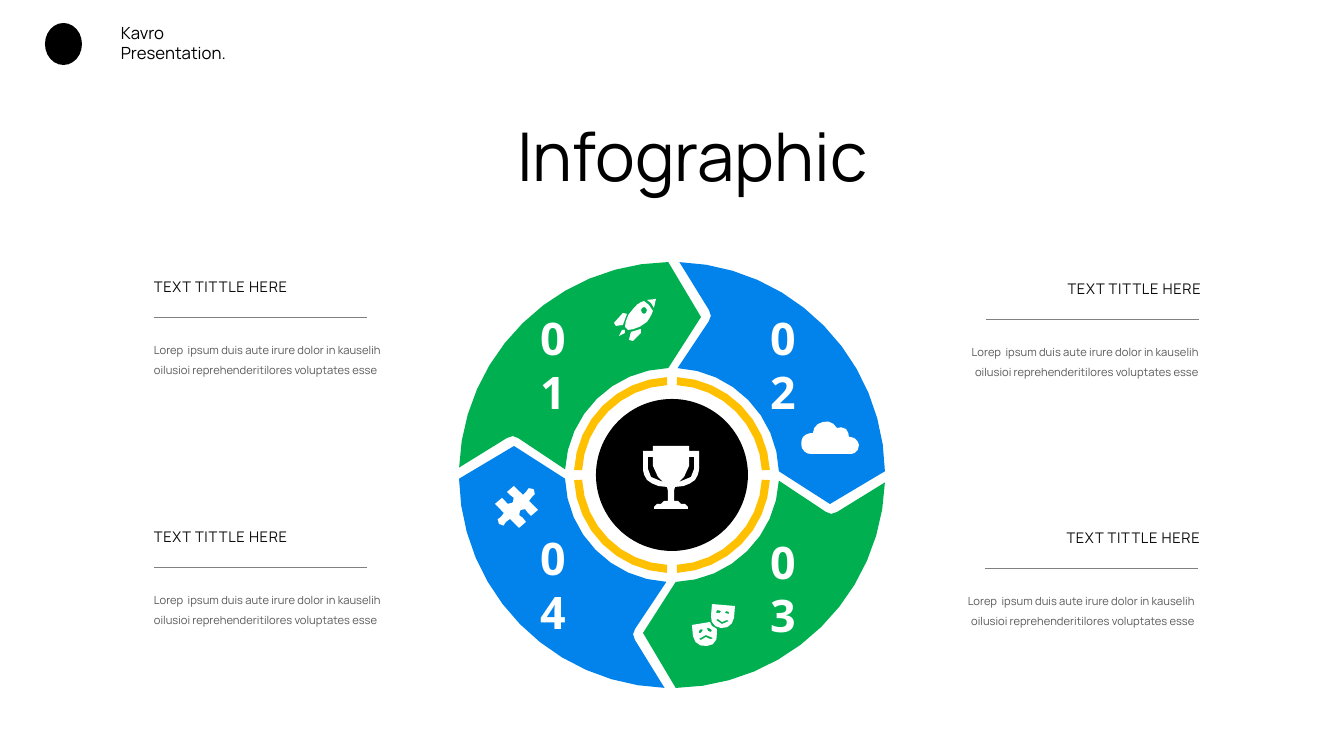
from math import ceil, cos, dist, radians, sin

from pptx import Presentation
from pptx.dml.color import RGBColor
from pptx.enum.shapes import MSO_CONNECTOR as CONNECTOR, MSO_SHAPE as SHAPE
from pptx.enum.text import MSO_ANCHOR as ANCHOR, MSO_AUTO_SIZE as AUTO_SIZE, PP_ALIGN as ALIGN
from pptx.oxml.ns import qn
from pptx.util import Emu, Pt

EMU_PER_PX = 914400 / 100.8
CENTER = (672, 475)
BLACK = RGBColor(0x00, 0x00, 0x00)
WHITE = RGBColor(0xFF, 0xFF, 0xFF)
INK = RGBColor(0x0D, 0x0D, 0x0D)
DARK_GREY = RGBColor(0x59, 0x59, 0x59)
RULE_GREY = RGBColor(0x80, 0x80, 0x80)
GREEN = RGBColor(0x00, 0xB0, 0x50)
BLUE = RGBColor(0x02, 0x83, 0xEB)
YELLOW = RGBColor(0xFF, 0xC0, 0x00)

BLURB = "Lorep  ipsum duis aute irure dolor in kauselih oilusioi reprehenderitilores voluptates esse"

# Contours in px: a pair is a straight step, six numbers are a cubic curve.
ROCKET = [
    [(656, 299), (647, 300), (651, 303), (654, 308)],
    [(627, 314), (623, 313), (614, 323), (616, 326), (623, 325)],
    [(641, 329), (631, 332), (629, 340), (633, 341), (641, 333)],
    [(644, 301), (641, 302, 637, 304, 634, 308), (627, 314, 625, 323, 625, 327),
     (628, 330), (632, 330, 640, 328, 647, 322), (650, 318, 652, 314, 653, 311), (649, 305)],
    [(647, 310), (646, 313), (644, 314), (642, 313), (641, 310), (642, 308), (644, 307), (646, 308)],
    [(625, 330), (622, 330), (619, 336), (625, 333)],
]
CLOUD = [
    [(849, 437), (849, 434, 848, 431, 846, 429), (843, 427, 840, 427, 837, 428),
     (834, 423, 829, 420, 823, 422), (817, 423, 813, 428, 813, 433),
     (809, 433, 806, 434, 803, 437), (801, 440, 801, 445, 802, 448),
     (804, 452, 807, 454, 811, 454), (851, 454), (855, 454, 859, 451, 859, 445),
     (859, 442, 855, 437, 851, 437)],
]
PUZZLE = [
    [(523, 518), (519, 518, 518, 513, 520, 511), (521, 510), (523, 508, 528, 509, 528, 513),
     (531, 516), (538, 510), (529, 501), (532, 497), (535, 497, 536, 492, 534, 490),
     (533, 489), (531, 487, 526, 488, 526, 492), (523, 495), (514, 486), (507, 492),
     (510, 495), (514, 495, 515, 500, 513, 502), (512, 503), (510, 505, 505, 504, 505, 501),
     (502, 498), (495, 504), (504, 513), (501, 517), (498, 517, 496, 521, 499, 524),
     (502, 527, 506, 526, 506, 522), (510, 519), (519, 528), (526, 522)],
]
SAD_MASK = [
    [(717, 629), (712, 626), (710, 622), (692, 625), (693, 636),
     (694, 643, 700, 647, 707, 646), (714, 646, 718, 640, 717, 633)],
    [(707, 628), (709, 628), (712, 630), (711, 632), (708, 631)],
    [(699, 631), (701, 629), (703, 630), (701, 633), (699, 633)],
    [(712, 639), (710, 639), (706, 637), (701, 640), (699, 639), (706, 635), (713, 638)],
]
HAPPY_MASK = [
    [(712, 604), (711, 616), (710, 622, 715, 628, 721, 628), (728, 629, 733, 624, 734, 618),
     (735, 606)],
    [(717, 610), (721, 611), (720, 613), (716, 613)],
    [(726, 611), (729, 612), (729, 614), (725, 613)],
    [(729, 621), (722, 624), (716, 620), (718, 619), (722, 622), (727, 620)],
]
CUP_RIGHT_HALF = [
    (689, 446), (689, 451), (699, 451), (699, 469), (699, 469, 699, 475, 695, 480),
    (690, 484, 685, 487, 675, 487), (674, 491), (674, 501), (678, 501), (681, 504),
    (685, 504), (688, 507), (688, 509)]
CUP_RIGHT_HANDLE = [
    (691, 477), (679, 482), (684, 477), (689, 466), (689, 457), (694, 457), (694, 469)]


def px(length):
    return Emu(round(length * EMU_PER_PX))


def flatten(contour):
    """Turn a contour with cubic curves into plain points, few on a short curve."""
    points = []
    for step in contour:
        if len(step) == 2:
            points.append(step)
            continue
        x0, y0 = points[-1]
        x1, y1, x2, y2, x3, y3 = step
        steps = min(3, ceil(dist((x0, y0), (x3, y3)) / 5))
        for i in range(1, steps + 1):
            t = i / steps
            a, b, c, d = (1 - t) ** 3, 3 * t * (1 - t) ** 2, 3 * t * t * (1 - t), t ** 3
            points.append((a * x0 + b * x1 + c * x2 + d * x3, a * y0 + b * y1 + c * y2 + d * y3))
    return points


def mirror(points, axis=671):
    return [(2 * axis - x, y) for x, y in reversed(points)]


def arc(radius, start, end, steps=8):
    """Points round the origin, in degrees clockwise from the right."""
    angles = [radians(start + (end - start) * i / steps) for i in range(steps + 1)]
    return [(radius * cos(angle), radius * sin(angle)) for angle in angles]


def quarter(points, turns):
    """Turn points about the origin by quarter turns and move them to the wheel."""
    for _ in range(turns):
        points = [(-y, x) for x, y in points]
    return [(CENTER[0] + x, CENTER[1] + y) for x, y in points]


def paint(shape, color):
    shape.shadow.inherit = False
    shape.fill.solid()
    shape.fill.fore_color.rgb = color
    shape.line.fill.background()


def add_outline(slide, contours, color):
    scaled = [[(px(x), px(y)) for x, y in contour] for contour in contours]
    builder = slide.shapes.build_freeform(*scaled[0][0], scale=1.0)
    for i, contour in enumerate(scaled):
        if i:
            builder.move_to(*contour[0])
        builder.add_line_segments(contour[1:], close=True)
    paint(builder.convert_to_shape(), color)


def add_icon(slide, contours):
    add_outline(slide, [flatten(contour) for contour in contours], WHITE)


def add_circle(slide, left, top, width, height, color):
    paint(slide.shapes.add_shape(SHAPE.OVAL, px(left), px(top), px(width), px(height)), color)


def write(box, text, size, color, font="Manrope", align=ALIGN.LEFT, anchor=ANCHOR.TOP,
          bold=False, line_spacing=None, tracking=None):
    frame = box.text_frame
    frame.text = text
    frame.word_wrap = True
    frame.auto_size = AUTO_SIZE.NONE
    frame.vertical_anchor = anchor
    for paragraph in frame.paragraphs:
        paragraph.alignment = align
        paragraph.line_spacing = line_spacing
        for run in paragraph.runs:
            run.font.name, run.font.size, run.font.bold = font, Pt(size), bold
            run.font.color.rgb = color
            if tracking:
                run.font._element.set("spc", str(tracking))


def add_text(slide, left, top, width, height, text, size, color, **style):
    box = slide.shapes.add_textbox(px(left), px(top), px(width), px(height))
    write(box, text, size, color, **style)


def add_rule(slide, left, top, width):
    rule = slide.shapes.add_connector(CONNECTOR.STRAIGHT, px(left), px(top), px(left + width), px(top))
    rule.line.color.rgb = RULE_GREY
    rule.line.width = Pt(0.5)
    properties = rule._element.spPr
    properties.append(properties.makeelement(qn("a:effectLst"), {}))


def add_entry(slide, left, top, heading_shift, blurb_shift, align):
    """Heading, rule and blurb, placed from the left end of the rule."""
    add_text(slide, left + heading_shift, top - 44, 160, 29, "TEXT TITTLE HERE", 10.5, INK,
             align=align, tracking=50)
    add_rule(slide, left, top, 213)
    add_text(slide, left + blurb_shift, top + 15, 260, 70, BLURB, 8, DARK_GREY,
             align=align, line_spacing=1.5)


def add_wheel(slide):
    notch = [(-165, -37), (-162, -38), (-159, -39), (-157, -38), (-154, -37)]
    segment = [(-3, -108), (29, -158), *arc(213, 269, 182, 12), *notch, *arc(107, 183, 268)]
    ring_part = arc(98, 183, 267) + arc(90, 267, 183)
    for turns, color in enumerate((GREEN, BLUE, GREEN, BLUE)):
        add_outline(slide, [quarter(segment, turns)], color)
        add_outline(slide, [quarter(ring_part, turns)], YELLOW)
    add_circle(slide, 596, 399, 152, 152, BLACK)
    for number, left, top in (("01", 524, 339), ("02", 754, 339), ("03", 754, 562), ("04", 524, 559)):
        add_text(slide, left, top, 58, 52, number, 32, WHITE, font="Open Sans",
                 align=ALIGN.CENTER, anchor=ANCHOR.MIDDLE, bold=True)
    for icon in (SAD_MASK, HAPPY_MASK, CLOUD, PUZZLE, ROCKET):
        add_icon(slide, icon)
    cup = flatten(CUP_RIGHT_HALF)
    add_outline(slide, [cup + mirror(cup), CUP_RIGHT_HANDLE, mirror(CUP_RIGHT_HANDLE)], WHITE)


def main():
    deck = Presentation()
    deck.slide_width, deck.slide_height = px(1344), px(756)
    slide = deck.slides.add_slide(deck.slide_layouts[5])
    title = slide.shapes.title
    title.left, title.top, title.width, title.height = px(473), px(109), px(439), px(92)
    write(title, "Infographic", 48, BLACK, align=ALIGN.CENTER)
    for left, top in ((154, 317), (154, 567)):
        add_entry(slide, left, top, -10, -10, ALIGN.LEFT)
    for left, top, blurb_shift in ((986, 319, -37), (985, 568, -40)):
        add_entry(slide, left, top, 65, blurb_shift, ALIGN.RIGHT)
    add_wheel(slide)
    add_text(slide, 111, 18, 132, 50, "Kavro\nPresentation.", 12, BLACK)
    add_circle(slide, 45, 23, 37, 42, BLACK)
    deck.save("out.pptx")


if __name__ == "__main__":
    main()
